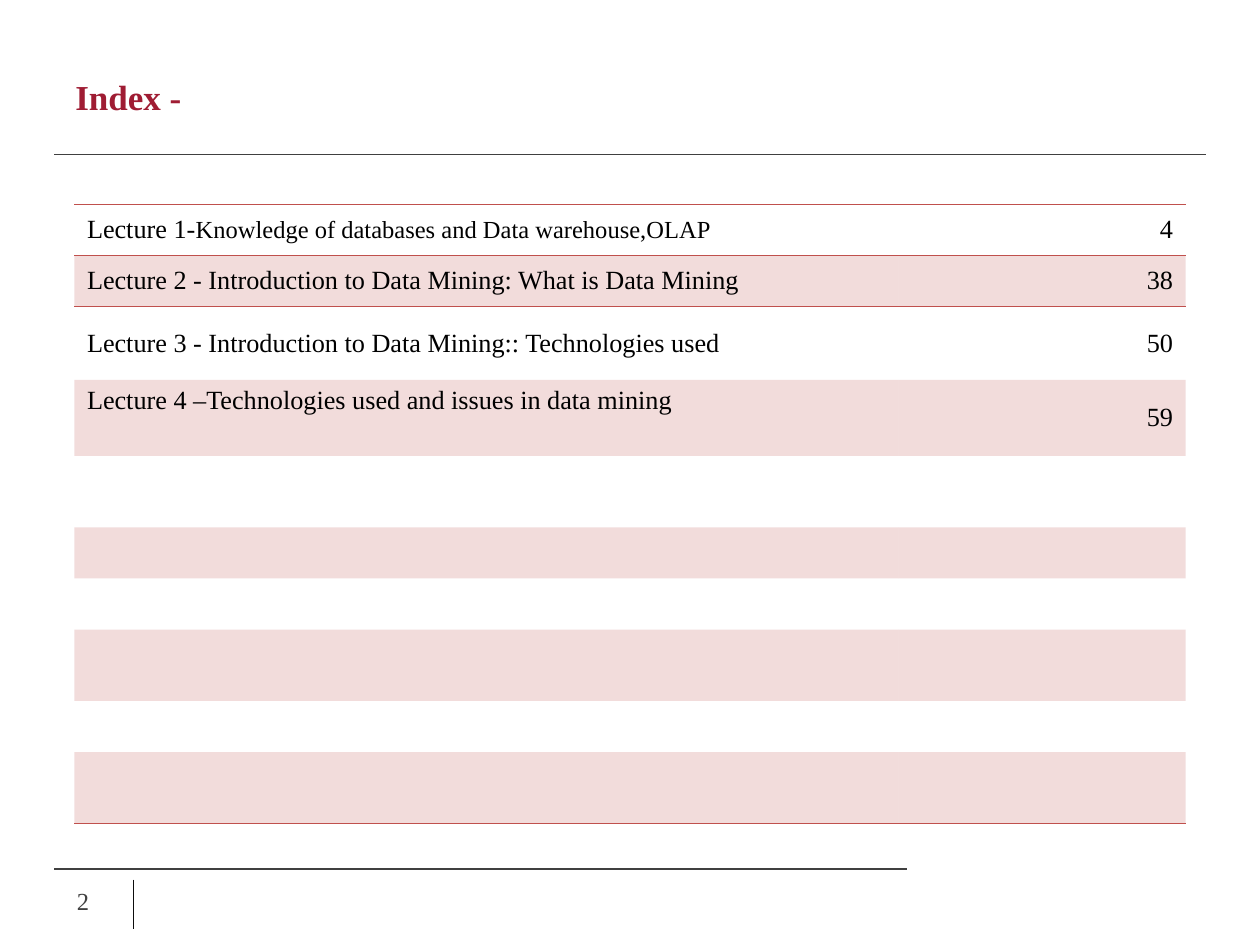
import pptx
import pptx.util
import pptx.dml.color
import pptx.enum.shapes
import pptx.enum.text
import pptx.oxml
import pptx.oxml.ns
from lxml import etree
from pptx.util import Cm, Pt

RGBColor = pptx.dml.color.RGBColor
MIDDLE = pptx.enum.text.MSO_ANCHOR.MIDDLE
TOP = pptx.enum.text.MSO_ANCHOR.TOP
qn = pptx.oxml.ns.qn

CRIMSON = RGBColor(0x9F, 0x1C, 0x33)
DARK_GREY = RGBColor(0x40, 0x40, 0x40)
NEAR_BLACK = RGBColor(0x0D, 0x0D, 0x0D)
BLACK = RGBColor(0, 0, 0)
RED = RGBColor(0xC0, 0x50, 0x4D)
FONT = "Times New Roman"
NO_STYLE = "{2D5ABB26-0587-4C30-8999-92F81FD0307C}"


def set_font(font, size, color, bold=False):
    font.name = FONT
    font.size = Pt(size)
    font.color.rgb = color
    font.bold = bold


def add_border(cell, tag, position):
    """Draw a thin red edge; position keeps the edges ahead of the fill."""
    line = etree.Element(qn(tag), w=str(Pt(0.45)))
    fill = etree.SubElement(line, qn("a:solidFill"))
    etree.SubElement(fill, qn("a:srgbClr"), val=str(RED))
    cell._tc.get_or_add_tcPr().insert(position, line)


presentation = pptx.Presentation()
presentation.slide_width = Cm(25.4)
presentation.slide_height = Cm(19.05)
slide = presentation.slides.add_slide(presentation.slide_layouts[6])

# Rules around the title and the page number
for x1, y1, x2, y2, color in [
    (1.09, 3.12, 24.31, 3.12, DARK_GREY),
    (1.09, 17.52, 18.29, 17.52, DARK_GREY),
    (2.69, 17.73, 2.69, 18.72, NEAR_BLACK),
]:
    rule = slide.shapes.add_connector(
        pptx.enum.shapes.MSO_CONNECTOR.STRAIGHT, Cm(x1), Cm(y1), Cm(x2), Cm(y2))
    rule.line.color.rgb = color
    rule.line.width = Pt(0.75)
    etree.SubElement(rule._element.spPr, qn("a:effectLst"))

# Title and page number
for text, left, top, width, height, size, color, bold in [
    ("Index -", 1.27, 0.76, 22.86, 2.36, 20, CRIMSON, True),
    ("2", 1.3, 17.65, 1.32, 1.02, 14, DARK_GREY, False),
]:
    text_box = slide.shapes.add_textbox(Cm(left), Cm(top), Cm(width), Cm(height))
    text_frame = text_box.text_frame
    text_frame.word_wrap = True
    text_frame.vertical_anchor = MIDDLE
    paragraph = text_frame.paragraphs[0]
    paragraph.text = text
    set_font(paragraph.font, size, color, bold)

# Index table
row_heights = [1.03, 1.03, 1.48, 1.53, 1.44, 1.03, 1.03, 1.44, 1.03, 1.44]
column_widths = [16.61, 5.79]
last_row = len(row_heights) - 1
table_frame = slide.shapes.add_table(
    len(row_heights), len(column_widths), Cm(1.5), Cm(4.12),
    Cm(sum(column_widths)), Cm(sum(row_heights)))
table = table_frame.table
table_frame._element.find(".//" + qn("a:tableStyleId")).text = NO_STYLE
for column, width in zip(table.columns, column_widths):
    column.width = Cm(width)

for row_index, height in enumerate(row_heights):
    row = table.rows[row_index]
    row.height = Cm(height)
    for cell in row.cells:
        cell.vertical_anchor = MIDDLE
        if row_index % 2:
            cell.fill.solid()
            cell.fill.fore_color.rgb = RED
            color_element = cell._tc.tcPr.find(".//" + qn("a:srgbClr"))
            etree.SubElement(color_element, qn("a:alpha"), val="20000")
        else:
            cell.fill.background()
        if row_index in (0, 1):
            add_border(cell, "a:lnT", 0)
        if row_index == 0:
            add_border(cell, "a:lnB", 1)
        if row_index == last_row:
            add_border(cell, "a:lnB", 0)

# Each lecture: text runs with their sizes, then the page
lectures = [
    ([("Lecture 1-", 15),
      ("Knowledge of databases and Data warehouse,OLAP", 14)], "4"),
    ([("Lecture 2 - Introduction to Data Mining: What is Data Mining", 15)], "38"),
    ([("Lecture 3 - Introduction to Data Mining:: Technologies used", 15)], "50"),
    ([("Lecture 4 –Technologies used and issues in data mining", 15)], "59"),
]
for row_index, (runs, page) in enumerate(lectures):
    lecture_paragraph = table.cell(row_index, 0).text_frame.paragraphs[0]
    for text, size in runs:
        run = lecture_paragraph.add_run()
        run.text = text
        set_font(run.font, size, BLACK)
    page_paragraph = table.cell(row_index, 1).text_frame.paragraphs[0]
    page_paragraph.text = page
    page_paragraph.alignment = pptx.enum.text.PP_ALIGN.RIGHT
    set_font(page_paragraph.font, 15, BLACK)
table.cell(3, 0).vertical_anchor = TOP

presentation.save("out.pptx")
